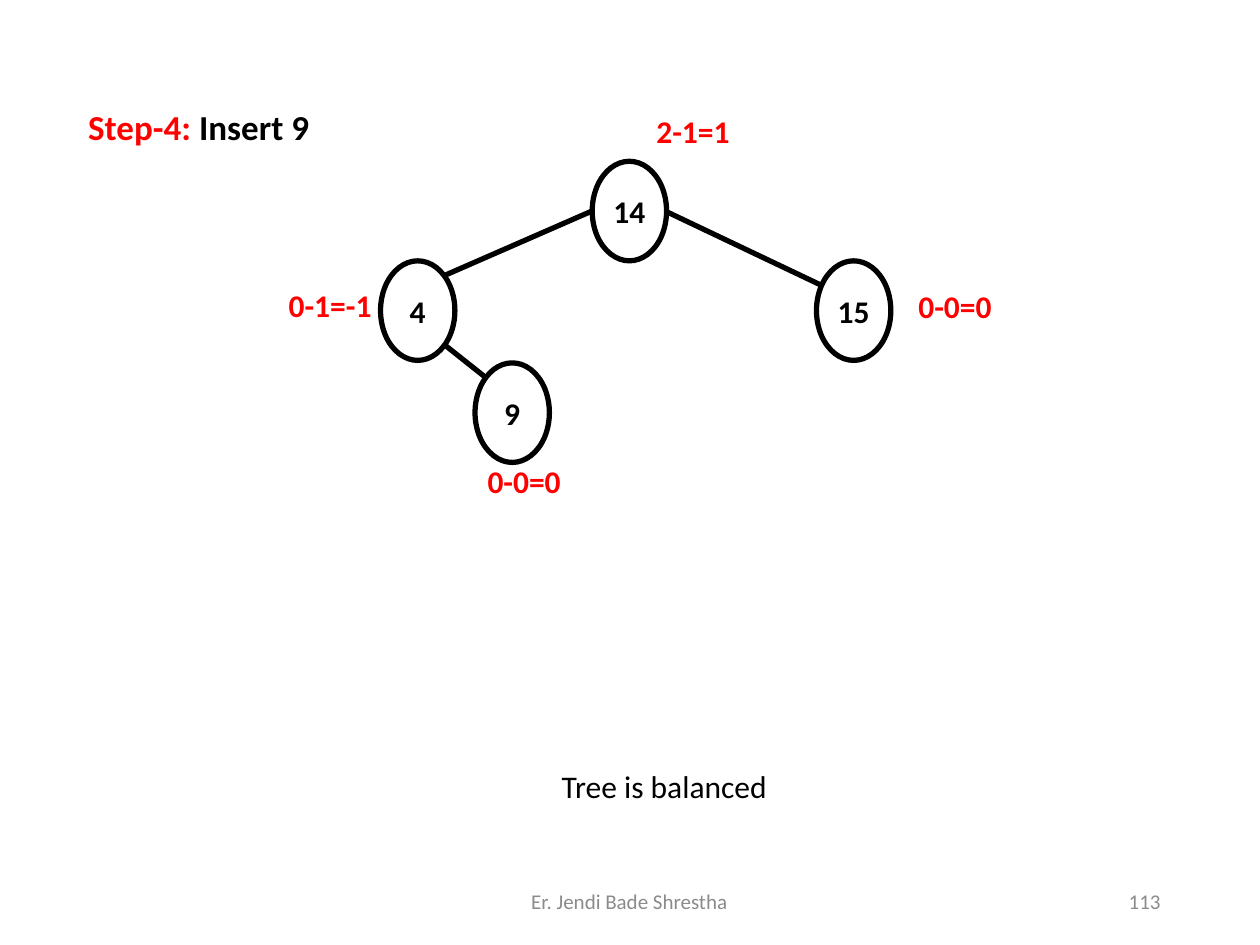
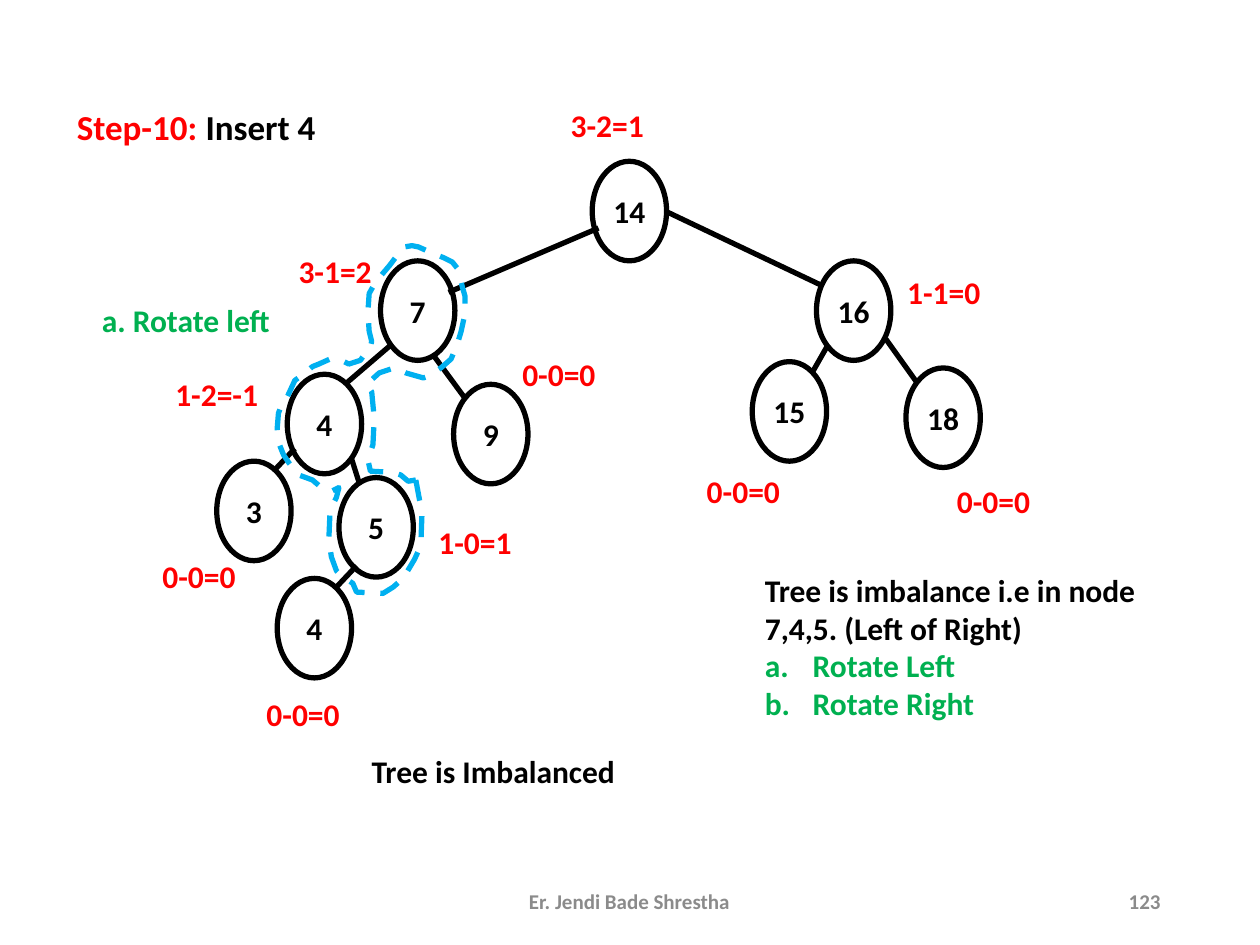
import pptx
import pptx.util
import pptx.dml.color
import pptx.enum.dml
import pptx.enum.shapes
import pptx.enum.text
import pptx.oxml.ns
from lxml import etree

Inches = pptx.util.Inches
ALIGN = pptx.enum.text.PP_ALIGN
ANCHOR = pptx.enum.text.MSO_ANCHOR
FONT = "Calibri"
BLACK, WHITE, RED, GREEN, BLUE, GREY = "000000", "FFFFFF", "FF0000", "00B050", "00B0F0", "8B8B8B"
NODE_WIDTH, NODE_HEIGHT = 0.59, 0.79
LINE_HEIGHT = 0.4
TITLE_ONLY, TITLE_AND_BODY = 5, 1

ROOT_SPOT, LEFT_SPOT, RIGHT_SPOT = (4.7, 1.28), (3.02, 2.07), (6.48, 2.07)
ROOT_TO_RIGHT = (5.29, 1.68, 6.51, 2.26)

BALANCED_NODES = [("14", ROOT_SPOT), ("4", LEFT_SPOT), ("15", RIGHT_SPOT), ("9", (3.77, 2.88))]
BALANCED_EDGES = [ROOT_TO_RIGHT, (4.71, 1.67, 3.52, 2.19), (3.52, 2.73, 3.86, 3)]
BALANCED_FACTORS = [
    ("2-1=1", 5.08, 0.84, 0.84), ("0-0=0", 7.16, 2.23, 0.84),
    ("0-1=-1", 2.16, 2.22, 0.92), ("0-0=0", 3.74, 3.62, 0.84),
]

IMBALANCED_NODES = [
    ("14", ROOT_SPOT), ("7", LEFT_SPOT), ("16", RIGHT_SPOT),
    ("4", (2.28, 2.97)), ("9", (3.6, 3.05)), ("15", (5.97, 2.87)), ("18", (7.19, 2.92)),
    ("3", (1.72, 3.66)), ("5", (2.69, 3.79)), ("4", (2.2, 4.59)),
]
IMBALANCED_EDGES = [
    ROOT_TO_RIGHT, (4.75, 1.81, 3.56, 2.32), (3.1, 2.74, 2.75, 3.04),
    (3.44, 2.82, 3.69, 3.16), (7.03, 2.69, 7.28, 3.04), (6.57, 2.74, 6.45, 2.95),
    (2.34, 3.56, 2.18, 3.73), (2.79, 3.64, 2.85, 3.83), (2.83, 4.49, 2.67, 4.66),
]
IMBALANCED_FACTORS = [
    ("3-2=1", 3.9, 0.79, 1.84), ("3-1=2", 2.24, 1.95, 0.84), ("1-1=0", 7.07, 2.12, 0.84),
    ("1-2=-1", 0.9, 2.93, 1.64), ("0-0=0", 3.44, 2.77, 1.99), ("0-0=0", 7.03, 3.78, 1.71),
    ("0-0=0", 0.9, 4.37, 1.36), ("1-0=1", 2.99, 4.1, 1.56), ("0-0=0", 5.18, 3.7, 1.44),
    ("0-0=0", 1.7, 5.47, 1.41),
]
ROTATED_OUTLINE = [
    (3.3, 3.81), (3.33, 3.97), (3.35, 4.05), (3.34, 4.33), (3.29, 4.44), (3.2, 4.59),
    (3.12, 4.66), (3.04, 4.71), (2.83, 4.7), (2.8, 4.63), (2.72, 4.58), (2.67, 4.53),
    (2.63, 4.42), (2.61, 4.28), (2.62, 4.05), (2.67, 3.95), (2.69, 3.87), (2.63, 3.9),
    (2.55, 3.87), (2.48, 3.81), (2.37, 3.77), (2.29, 3.67), (2.25, 3.61), (2.21, 3.51),
    (2.2, 3.4), (2.21, 3.28), (2.24, 3.2), (2.28, 3.15), (2.34, 3.02), (2.41, 2.97),
    (2.48, 2.91), (2.53, 2.89), (2.62, 2.85), (2.71, 2.86), (2.77, 2.89), (2.86, 2.86),
    (2.94, 2.75), (2.95, 2.71), (2.93, 2.63), (2.92, 2.48), (2.93, 2.33), (2.98, 2.24),
    (3.03, 2.18), (3.09, 2.11), (3.15, 2.03), (3.21, 1.96), (3.27, 1.95), (3.32, 1.96),
    (3.41, 2), (3.53, 2.05), (3.59, 2.08), (3.63, 2.13), (3.65, 2.2), (3.67, 2.28),
    (3.69, 2.35), (3.69, 2.49), (3.66, 2.63), (3.63, 2.73), (3.58, 2.85), (3.5, 2.92),
    (3.39, 2.99), (3.36, 3), (3.22, 2.96), (3.13, 2.92), (3.01, 2.96), (2.91, 3.05),
    (2.95, 3.11), (2.97, 3.32), (2.96, 3.53), (2.92, 3.65), (2.94, 3.74), (3.12, 3.75),
    (3.18, 3.77), (3.24, 3.82),
]


def colour(code):
    return pptx.dml.color.RGBColor.from_string(code)


def add_span(para, text, code=BLACK, size=18, bold=True):
    span = para.add_run()
    span.text = text
    span.font.name = FONT
    span.font.size = pptx.util.Pt(size)
    span.font.bold = bold
    span.font.color.rgb = colour(code)


def add_line_of_text(page, text, left, top, width, code=BLACK, align=ALIGN.LEFT,
                     size=18, bold=True, anchor=ANCHOR.TOP):
    box = page.shapes.add_textbox(Inches(left), Inches(top), Inches(width), Inches(LINE_HEIGHT))
    box.text_frame.word_wrap = True
    box.text_frame.vertical_anchor = anchor
    para = box.text_frame.paragraphs[0]
    para.alignment = align
    add_span(para, text, code, size, bold)


def place(holder, left, top, width, height):
    holder.left, holder.top = Inches(left), Inches(top)
    holder.width, holder.height = Inches(width), Inches(height)
    holder.text_frame.auto_size = pptx.enum.text.MSO_AUTO_SIZE.NONE
    holder.text_frame.vertical_anchor = ANCHOR.TOP


def outline(shape, code):
    shape.line.color.rgb = colour(code)
    shape.line.width = pptx.util.Pt(3)


def add_step_page(deck, layout, step, action, left, number, bold_footer):
    page = deck.slides.add_slide(deck.slide_layouts[layout])
    title = page.shapes.title
    place(title, left, 0.79, 3.17, 0.43)
    para = title.text_frame.paragraphs[0]
    para.alignment = ALIGN.LEFT
    add_span(para, step + " ", RED, 20)
    add_span(para, action, BLACK, 20)
    add_line_of_text(page, "Er. Jendi Bade Shrestha", 3.31, 6.95, 3.37, GREY,
                     ALIGN.CENTER, 12, bold_footer, ANCHOR.MIDDLE)
    add_line_of_text(page, number, 7.06, 6.95, 2.25, GREY,
                     ALIGN.RIGHT, 12, bold_footer, ANCHOR.MIDDLE)
    return page


def add_node(page, key, left, top):
    node = page.shapes.add_shape(pptx.enum.shapes.MSO_SHAPE.OVAL, Inches(left), Inches(top),
                                 Inches(NODE_WIDTH), Inches(NODE_HEIGHT))
    node.shadow.inherit = False
    node.fill.solid()
    node.fill.fore_color.rgb = colour(WHITE)
    outline(node, BLACK)
    frame = node.text_frame
    frame.word_wrap = False
    frame.vertical_anchor = ANCHOR.MIDDLE
    para = frame.paragraphs[0]
    para.alignment = ALIGN.CENTER
    add_span(para, key)


def add_edge(page, *ends):
    edge = page.shapes.add_connector(pptx.enum.shapes.MSO_CONNECTOR.STRAIGHT,
                                     *[Inches(end) for end in ends])
    outline(edge, BLACK)
    etree.SubElement(edge._element.spPr, pptx.oxml.ns.qn("a:effectLst"))


def add_tree(page, nodes, edges, factors):
    for key, spot in nodes:
        add_node(page, key, *spot)
    for edge in edges:
        add_edge(page, *edge)
    for text, left, top, width in factors:
        add_line_of_text(page, text, left, top, width, RED, ALIGN.CENTER)


def add_rotated_outline(page):
    start, *rest = [(Inches(x), Inches(y)) for x, y in ROTATED_OUTLINE]
    builder = page.shapes.build_freeform(*start)
    builder.add_line_segments(rest, close=True)
    loop = builder.convert_to_shape()
    loop.shadow.inherit = False
    loop.fill.background()
    outline(loop, BLUE)
    loop.line.dash_style = pptx.enum.dml.MSO_LINE.DASH


def set_bullet(para, numbered):
    properties = para._p.get_or_add_pPr()
    indent = Inches(0.38) if numbered else 0
    properties.set("marL", str(indent))
    properties.set("indent", str(-indent))
    if numbered:
        etree.SubElement(properties, pptx.oxml.ns.qn("a:buFont"), typeface=FONT)
        etree.SubElement(properties, pptx.oxml.ns.qn("a:buAutoNum"), type="alphaLcPeriod")
    else:
        etree.SubElement(properties, pptx.oxml.ns.qn("a:buNone"))


def add_rotation_list(body, finding, rotations):
    place(body, 5.97, 4.48, 3.58, 1.3)
    frame = body.text_frame
    for index, text in enumerate([finding] + rotations):
        para = frame.add_paragraph() if index else frame.paragraphs[0]
        para.space_before = pptx.util.Pt(0)
        set_bullet(para, index > 0)
        add_span(para, text, GREEN if index else BLACK)


def build_balanced_page(deck):
    page = add_step_page(deck, TITLE_ONLY, "Step-4:", "Insert 9", 0.6, "113", False)
    add_tree(page, BALANCED_NODES, BALANCED_EDGES, BALANCED_FACTORS)
    add_line_of_text(page, "Tree is balanced", 4.36, 6.04, 3.22, bold=False)


def build_imbalanced_page(deck):
    page = add_step_page(deck, TITLE_AND_BODY, "Step-10:", "Insert 4", 0.51, "123", True)
    add_tree(page, IMBALANCED_NODES, IMBALANCED_EDGES, IMBALANCED_FACTORS)
    add_rotated_outline(page)
    add_rotation_list(page.placeholders[1], "Tree is imbalance i.e in node 7,4,5. (Left of Right)",
                      ["Rotate Left", "Rotate Right"])
    add_line_of_text(page, "Tree is Imbalanced", 2.85, 5.92, 3.22)
    add_line_of_text(page, "a. Rotate left", 0.71, 2.34, 1.71, GREEN)


def main():
    deck = pptx.Presentation()
    deck.slide_width, deck.slide_height = Inches(10), Inches(7.5)
    build_balanced_page(deck)
    build_imbalanced_page(deck)
    deck.save("out.pptx")


if __name__ == "__main__":
    main()
